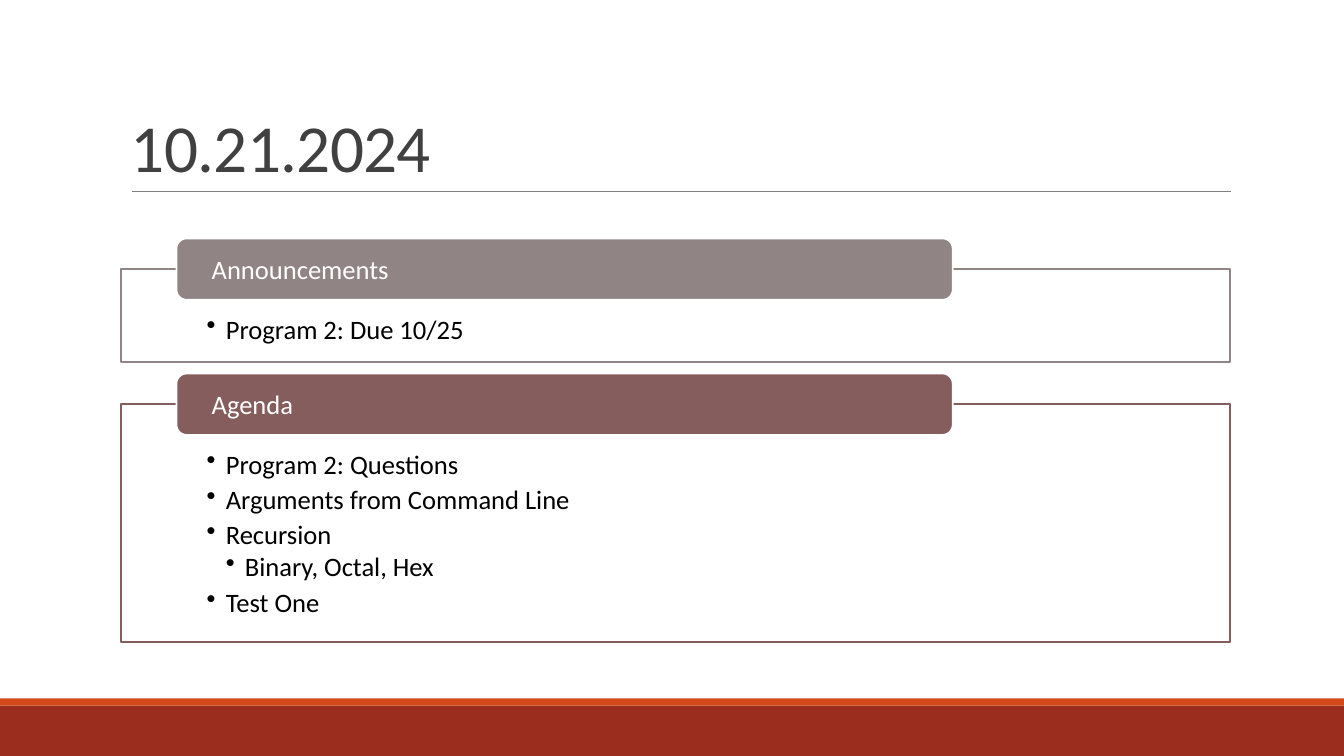
from lxml import etree
from pptx import Presentation
from pptx import util as u
from pptx.dml.color import RGBColor
from pptx.enum import shapes, text
from pptx.oxml.ns import qn

TITLE = "10.21.2024"
PANELS = [
    ("Announcements", "taupe", 2.67, 0.92, [(1, "Program 2: Due 10/25")]),
    ("Agenda", "plum", 4.01, 2.36, [
        (1, "Program 2: Questions"),
        (1, "Arguments from Command Line"),
        (1, "Recursion"),
        (2, "Binary, Octal, Hex"),
        (1, "Test One"),
    ]),
]
BANDS = [("brick", 7, 0.5), ("orange", 6.93, 0.07)]
HEX = {
    "white": "FFFFFF", "black": "000000", "dark": "404040", "gray": "808080",
    "taupe": "918485", "plum": "855D5D", "brick": "9B2D1F", "orange": "D34817",
}
FONT = "Calibri"
WIDE, HIGH = 13.33, 7.5
LEFT, SPAN = 1.2, 11
TAB_IN, TAB_W, TAB_H, TAB_UP = 0.55, 0.7 * SPAN, 0.61, 0.305
STEP = 0.19

deck = Presentation()
deck.slide_width, deck.slide_height = u.Inches(WIDE), u.Inches(HIGH)
slide = deck.slides.add_slide(deck.slide_layouts[6])


def color(name):
    return RGBColor.from_string(HEX[name])


def box(kind, area, fill, line=None):
    part = slide.shapes.add_shape(kind, *map(u.Inches, area))
    part.shadow.inherit = False
    part.fill.solid()
    part.fill.fore_color.rgb = color(fill)
    if line:
        part.line.color.rgb = color(line)
        part.line.width = u.Pt(1.25)
    else:
        part.line.fill.background()
    return part


def frame(part, insets, anchor):
    body = part.text_frame
    body.word_wrap = True
    body.vertical_anchor = anchor
    (body.margin_left, body.margin_top,
     body.margin_right, body.margin_bottom) = map(u.Inches, insets)
    return body


def write(para, words, size, tint):
    para.text = words
    para.alignment = text.PP_ALIGN.LEFT
    font = para.runs[0].font
    font.name, font.size = FONT, u.Pt(size)
    font.color.rgb = color(tint)


def bullet(para, level):
    props = para._p.get_or_add_pPr()
    props.set("marL", str(u.Inches(STEP * level)))
    props.set("indent", str(-u.Inches(STEP)))
    etree.SubElement(props, qn("a:buChar")).set("char", "•")


def panel(head, tint, top, height, items):
    area = LEFT, top, SPAN, height
    card = box(shapes.MSO_SHAPE.RECTANGLE, area, "white", tint)
    shade = card.fill._xPr.find(qn("a:solidFill"))[0]
    etree.SubElement(shade, qn("a:alpha")).set("val", "90000")
    body = frame(card, (0.85, 0.43, 0.85, 0.15), text.MSO_ANCHOR.TOP)
    for i, (level, words) in enumerate(items):
        para = body.paragraphs[0] if i == 0 else body.add_paragraph()
        write(para, words, 19, "black")
        para.level = level
        para.line_spacing = 0.9 if level == 2 else 1.0
        para.space_after = u.Pt(2.5)
        bullet(para, level)
    area = LEFT + TAB_IN, top - TAB_UP, TAB_W, TAB_H
    tab = box(shapes.MSO_SHAPE.ROUNDED_RECTANGLE, area, tint, "white")
    body = frame(tab, (0.32, 0, 0.32, 0), text.MSO_ANCHOR.MIDDLE)
    write(body.paragraphs[0], head, 19, "white")


for tint, top, height in BANDS:
    box(shapes.MSO_SHAPE.RECTANGLE, (0, top, WIDE, height), tint)

rule = slide.shapes.add_connector(
    shapes.MSO_CONNECTOR.STRAIGHT, *map(u.Inches, (1.31, 1.9, 12.21, 1.9)))
rule.line.color.rgb = color("gray")
rule.line.width = u.Pt(0.5)
etree.SubElement(rule._element.spPr, qn("a:effectLst"))

title = slide.shapes.add_textbox(*map(u.Inches, (LEFT, 0.31, SPAN, 1.59)))
body = frame(title, (0.1, 0.05, 0.1, 0.05), text.MSO_ANCHOR.BOTTOM)
para = body.paragraphs[0]
write(para, TITLE, 48, "dark")
para.line_spacing = 0.85
para.runs[0]._r.get_or_add_rPr().set("spc", "-50")

for row in PANELS:
    panel(*row)

deck.save("out.pptx")
